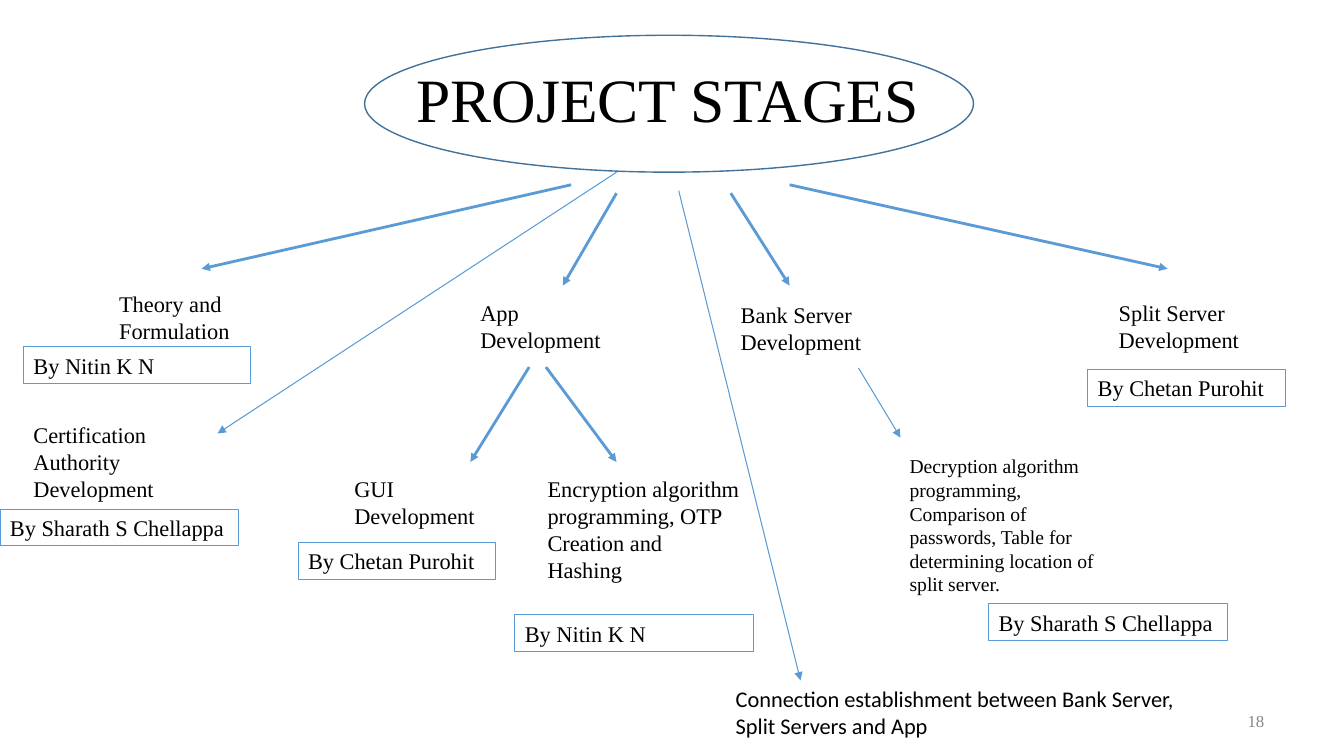
import lxml.etree
import pptx
import pptx.dml.color
import pptx.enum.shapes
import pptx.enum.text
import pptx.oxml.ns
import pptx.util

SLIDE_WIDTH = pptx.util.Inches(13.333)
SLIDE_HEIGHT = pptx.util.Inches(7.5)
COLUMNS, ROWS = 160, 90
SERIF, SANS = "Times New Roman", "Calibri"
BLUE, DARK_BLUE, BLACK, GREY = "5B9BD5", "42719B", "000000", "888888"
LABEL_SIZE = 16
AUTHOR_HEIGHT = 4.4
SHAPES = pptx.enum.shapes.MSO_SHAPE
ALIGN = pptx.enum.text.PP_ALIGN
ANCHOR = pptx.enum.text.MSO_ANCHOR

# label, (left, top, width, height), size, font, author,
# (author box's shift from the label's lower left corner, its width)
STAGES = [
    ("Theory and Formulation", (13, 34, 19.5, 7.7), LABEL_SIZE, SERIF,
     "By Nitin K N", (-10.2, -0.4, 27)),
    ("App Development", (56, 35, 19.5, 7.7), LABEL_SIZE, SERIF, None, None),
    ("Bank Server Development", (87, 35.3, 19.5, 7.7), LABEL_SIZE, SERIF, None, None),
    ("Split Server Development", (132, 35, 19.5, 7.7), LABEL_SIZE, SERIF,
     "By Chetan Purohit", (-2.5, 1.3, 23.5)),
    ("Certification Authority Development", (2.8, 49.6, 23.5, 10.9), LABEL_SIZE, SERIF,
     "By Sharath S Chellappa", (-2.8, 0.1, 28.4)),
    ("GUI Development", (41, 56, 19.5, 7.7), LABEL_SIZE, SERIF,
     "By Chetan Purohit", (-5.5, 0.9, 23.5)),
    ("Encryption algorithm programming, OTP Creation and Hashing",
     (64, 56, 25.5, 14.1), LABEL_SIZE, SERIF, "By Nitin K N", (-2.7, 3.1, 28.4)),
    ("Decryption algorithm programming, Comparison of passwords, "
     "Table for determining location of split server.",
     (107.1, 53.5, 25.5, 18.1), 14, SERIF, "By Sharath S Chellappa", (10.6, 0.3, 28.4)),
    ("Connection establishment between Bank Server, Split Servers and App",
     (86.4, 81, 59.6, 7.7), LABEL_SIZE, SANS, None, None),
]

# start, end, line width
ARROWS = [
    ((68, 22), (24, 32), 2),
    ((73.4, 23), (67, 34), 2),
    ((87, 23), (94, 34), 2),
    ((94, 22), (139, 32), 2),
    ((63, 43.7), (56, 55), 2),
    ((65, 43.7), (73.4, 55), 2),
    ((73.4, 20.5), (25.9, 51.6), 0.75),
    ((102.2, 43.8), (107.2, 52.1), 0.75),
    ((80.8, 22.7), (95.3, 81), 0.75),
]


def column(count):
    return round(SLIDE_WIDTH * count / COLUMNS)


def row(count):
    return round(SLIDE_HEIGHT * count / ROWS)


def place(box):
    left, top, width, height = box
    return column(left), row(top), column(width), row(height)


def color(hex_string):
    return pptx.dml.color.RGBColor.from_string(hex_string)


def write(shape, text, size, font=SERIF, fill=BLACK, align=ALIGN.LEFT, anchor=ANCHOR.TOP):
    frame = shape.text_frame
    frame.word_wrap = True
    frame.vertical_anchor = anchor
    paragraph = frame.paragraphs[0]
    paragraph.alignment = align
    run = paragraph.add_run()
    run.text = text
    run.font.size = pptx.util.Pt(size)
    run.font.name = font
    run.font.color.rgb = color(fill)
    return paragraph


def add_outline(slide, kind, box, line_color, line_width):
    """Add an unfilled preset shape."""
    shape = slide.shapes.add_shape(kind, *place(box))
    shape.shadow.inherit = False
    shape.fill.background()
    shape.line.color.rgb = color(line_color)
    shape.line.width = pptx.util.Pt(line_width)
    return shape


def add_title(slide, box):
    left, top, width, height = box
    title = slide.shapes.add_textbox(*place(box))
    paragraph = write(title, "PROJECT STAGES", 44, align=ALIGN.CENTER, anchor=ANCHOR.MIDDLE)
    paragraph.line_spacing = 0.9
    ellipse_box = (left + 30.4, top, width - 60.5, height + 0.2)
    add_outline(slide, SHAPES.OVAL, ellipse_box, DARK_BLUE, 1)


def add_stage(slide, label, box, size, font, author, author_place):
    """Add a stage's label and, if it has one, its author's box."""
    left, top, width, height = box
    write(slide.shapes.add_textbox(*place(box)), label, size, font)
    if author:
        shift_x, shift_y, author_width = author_place
        author_box = (left + shift_x, top + height + shift_y, author_width, AUTHOR_HEIGHT)
        shape = add_outline(slide, SHAPES.RECTANGLE, author_box, BLUE, 0.75)
        write(shape, author, LABEL_SIZE)


def add_arrow(slide, start, end, width):
    connector = slide.shapes.add_connector(
        pptx.enum.shapes.MSO_CONNECTOR.STRAIGHT,
        column(start[0]), row(start[1]), column(end[0]), row(end[1]))
    connector.line.color.rgb = color(BLUE)
    connector.line.width = pptx.util.Pt(width)
    qualified = pptx.oxml.ns.qn
    line = connector.line._get_or_add_ln()
    lxml.etree.SubElement(line, qualified("a:tailEnd"), type="triangle")
    lxml.etree.SubElement(connector._element.spPr, qualified("a:effectLst"))


def add_slide_number(slide, box):
    number = slide.shapes.add_textbox(*place(box))
    write(number, "18", 12, fill=GREY, align=ALIGN.RIGHT, anchor=ANCHOR.MIDDLE)


def main():
    presentation = pptx.Presentation()
    presentation.slide_width = SLIDE_WIDTH
    presentation.slide_height = SLIDE_HEIGHT
    slide = presentation.slides.add_slide(presentation.slide_layouts[6])
    add_title(slide, (13, 4.2, 133, 16.1))
    for arrow in ARROWS:
        add_arrow(slide, *arrow)
    for stage in STAGES:
        add_stage(slide, *stage)
    add_slide_number(slide, (138.6, 83.4, 13.1, 4.8))
    presentation.save("out.pptx")


if __name__ == "__main__":
    main()
